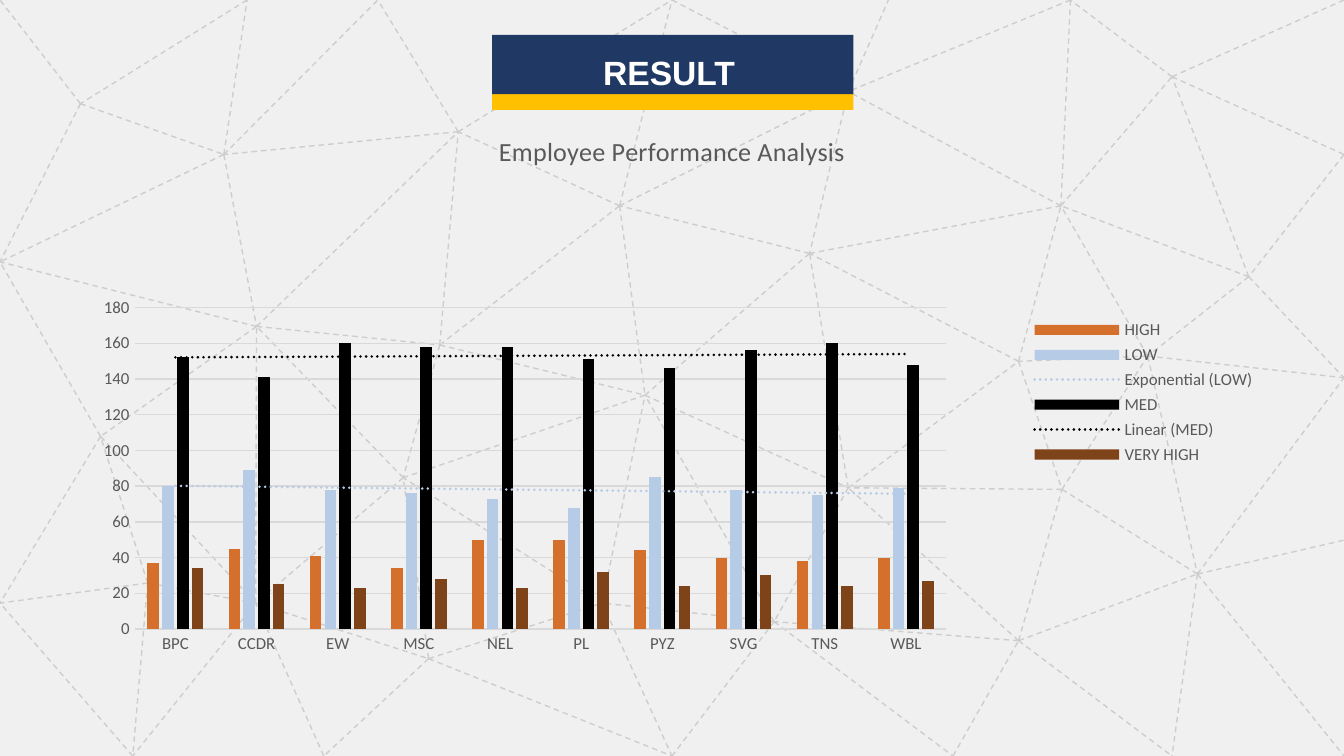
from dataclasses import dataclass

from lxml.etree import SubElement
from pptx import Presentation
from pptx.chart.data import CategoryChartData
from pptx.dml.color import RGBColor
from pptx.enum.chart import XL_CHART_TYPE, XL_LEGEND_POSITION, XL_TICK_MARK
from pptx.enum.dml import MSO_LINE
from pptx.enum.shapes import MSO_CONNECTOR, MSO_SHAPE
from pptx.enum.text import MSO_AUTO_SIZE, PP_ALIGN
from pptx.oxml import parse_xml
from pptx.oxml.ns import nsdecls, qn
from pptx.util import Cm, Pt


@dataclass(frozen=True)
class Theme:
    back: str = "F0F0F0"
    net: str = "CDCDCD"
    navy: str = "203864"
    gold: str = "FFC000"
    white: str = "FFFFFF"
    text: str = "595959"
    grid: str = "D9D9D9"
    high: str = "D4702B"
    low: str = "B6CBE6"
    med: str = "000000"
    very_high: str = "7F431A"
    head_font: str = "Arial"
    chart_font: str = "Calibri"
    head_size: int = 18
    title_size: int = 14
    label_size: int = 9
    hairline: float = 0.75
    trend_width: float = 1.5


T = Theme()

NODES = {
    "a": (1.52, 1.96), "b": (4.23, 2.92), "c": (8.66, 2.49), "d": (4.85, 6.17),
    "e": (0, 4.95), "f": (8.31, 6.52), "g": (7.62, 9.03), "h": (4.83, 11.4),
    "i": (1.9, 8.25), "j": (0, 11.4), "k": (2.79, 11.02), "l": (2.51, 14.29),
    "m": (8.1, 12.45), "n": (6.12, 14.29), "o": (11.38, 11.4), "p": (12.7, 14.29),
    "q": (12.19, 7.47), "r": (11.71, 3.89), "s": (12.7, 0), "t": (16.03, 1.73),
    "u": (15.3, 4.79), "v": (16.03, 9.22), "w": (14.63, 11.75), "x": (16.79, 0),
    "y": (20.05, 3.89), "z": (19.25, 6.83), "A": (20.07, 9.25), "B": (19.25, 12.11),
    "C": (18.01, 14.29), "D": (22.15, 14.29), "E": (21.69, 6.73), "F": (22.15, 1.45),
    "G": (20.23, 0), "H": (25.4, 0), "I": (25.4, 2.92), "J": (23.6, 5.23),
    "K": (25.4, 7.14), "L": (22.63, 10.85), "M": (25.4, 14.29), "N": (25.4, 10.21),
    "O": (4.67, 0), "P": (7.14, 0), "Q": (0, 0),
}
EDGES = """
    bO be bP cb bd dc de df fg gd gh hd di ih ie ij kj hl lj hm mg mn nh mo mp op
    og oq qg fq fc fr rq rc cP cs rs st tr tu ur uq qv vu vw wo wp tx yt yu vz zy
    zA Av Bv wC CB Bw BA BD Ey yF FG FH FI IJ JF Jy JE JK AL LK LM LD zu AE EK Ez
    EL Gy wq ki kh kl BL LN Oa ab ae aQ Gt
""".split()

CATEGORIES = ["BPC", "CCDR", "EW", "MSC", "NEL", "PL", "PYZ", "SVG", "TNS", "WBL"]
SERIES = [
    ("HIGH", T.high, None, [37, 45, 41, 34, 50, 50, 44, 40, 38, 40]),
    ("LOW", T.low, "exp", [80, 89, 78, 76, 73, 68, 85, 78, 75, 79]),
    ("MED", T.med, "linear", [152, 141, 160, 158, 158, 151, 146, 156, 160, 148]),
    ("VERY HIGH", T.very_high, None, [34, 25, 23, 28, 23, 32, 24, 30, 24, 27]),
]


def rgb(color):
    return RGBColor.from_string(color)


def set_font(font, name, size, color, bold=False):
    font.name, font.size, font.bold = name, Pt(size), bold
    font.color.rgb = rgb(color)


def set_line(line, color):
    line.color.rgb = rgb(color)
    line.width = Pt(T.hairline)


def add_network(s, left, top):
    group = s.shapes.add_group_shape()
    for start, end in EDGES:
        ends = [Cm(offset + value) for node in (start, end)
                for offset, value in zip((left, top), NODES[node])]
        line = group.shapes.add_connector(MSO_CONNECTOR.STRAIGHT, *ends)
        set_line(line.line, T.net)
        line.line.dash_style = MSO_LINE.DASH
        SubElement(line._element.spPr, qn("a:effectLst"))


def add_trend(series, kind, color):
    trend = parse_xml(
        f'<c:trendline {nsdecls("c", "a")}><c:spPr>'
        f'<a:ln w="{Pt(T.trend_width)}" cap="rnd"><a:solidFill><a:srgbClr val="{color}"/>'
        f'</a:solidFill><a:prstDash val="sysDot"/></a:ln></c:spPr>'
        f'<c:trendlineType val="{kind}"/><c:dispRSqr val="0"/><c:dispEq val="0"/>'
        f'</c:trendline>')
    series._element.find(qn("c:cat")).addprevious(trend)


def set_plot_area(chart, x, y, w, h):
    area = chart._chartSpace.chart.plotArea
    for old in area.findall(qn("c:layout")):
        area.remove(old)
    settings = [("layoutTarget", "inner"), ("xMode", "edge"), ("yMode", "edge"),
                ("x", x), ("y", y), ("w", w), ("h", h)]
    parts = "".join(f'<c:{tag} val="{value}"/>' for tag, value in settings)
    area.insert(0, parse_xml(f'<c:layout {nsdecls("c")}><c:manualLayout>{parts}'
                             f'</c:manualLayout></c:layout>'))


def add_performance_chart(s, left, top, width, height):
    data = CategoryChartData()
    data.categories = CATEGORIES
    for name, _, _, values in SERIES:
        data.add_series(name, values)
    chart = s.shapes.add_chart(XL_CHART_TYPE.COLUMN_CLUSTERED, Cm(left), Cm(top),
                               Cm(width), Cm(height), data).chart
    set_font(chart.font, T.chart_font, T.label_size, T.text)
    chart.has_title = True
    tf = chart.chart_title.text_frame
    tf.text = "Employee Performance Analysis"
    set_font(tf.paragraphs[0].runs[0].font, T.chart_font, T.title_size, T.text)
    chart.chart_title.include_in_layout = False
    chart.has_legend = True
    chart.legend.position = XL_LEGEND_POSITION.RIGHT
    chart.legend.include_in_layout = False
    set_font(chart.legend.font, T.chart_font, T.label_size, T.text)
    for axis in (chart.category_axis, chart.value_axis):
        axis.major_tick_mark = axis.minor_tick_mark = XL_TICK_MARK.NONE
        set_font(axis.tick_labels.font, T.chart_font, T.label_size, T.text)
    set_line(chart.category_axis.format.line, T.grid)
    chart.value_axis.format.line.fill.background()
    set_line(chart.value_axis.major_gridlines.format.line, T.grid)
    plot = chart.plots[0]
    plot.gap_width, plot.overlap, plot.vary_by_categories = 219, -27, False
    for series, (_, color, trend, _) in zip(plot.series, SERIES):
        series.format.fill.solid()
        series.format.fill.fore_color.rgb = rgb(color)
        series.invert_if_negative = False
        if trend:
            add_trend(series, trend, color)
    set_plot_area(chart, 0.05, 0.35, 0.68, 0.57)


def add_heading(s, left, top, width, height):
    group = s.shapes.add_group_shape()
    stripe = 0.3
    band = height - stripe
    for y, h, color in ((top + band, stripe, T.gold), (top, band, T.navy)):
        sp = group.shapes.add_shape(MSO_SHAPE.RECTANGLE, Cm(left), Cm(y), Cm(width), Cm(h))
        sp.shadow.inherit = False
        sp.fill.solid()
        sp.fill.fore_color.rgb = rgb(color)
        sp.line.fill.background()
    tf = group.shapes.add_textbox(Cm(left + 0.4), Cm(top + 0.2),
                                  Cm(width - 0.76), Cm(1)).text_frame
    tf.word_wrap = True
    tf.auto_size = MSO_AUTO_SIZE.SHAPE_TO_FIT_TEXT
    tf.text = "RESULT "
    p = tf.paragraphs[0]
    p.alignment = PP_ALIGN.CENTER
    set_font(p.runs[0].font, T.head_font, T.head_size, T.white, True)


def main():
    prs = Presentation()
    prs.slide_width, prs.slide_height = Cm(25.4), Cm(14.29)
    s = prs.slides.add_slide(prs.slide_layouts[6])
    s.background.fill.solid()
    s.background.fill.fore_color.rgb = rgb(T.back)
    add_network(s, 0, 0)
    add_performance_chart(s, 1.42, 2.08, 22.56, 10.67)
    add_heading(s, 9.3, 0.66, 6.83, 1.42)
    prs.save("out.pptx")


if __name__ == "__main__":
    main()
